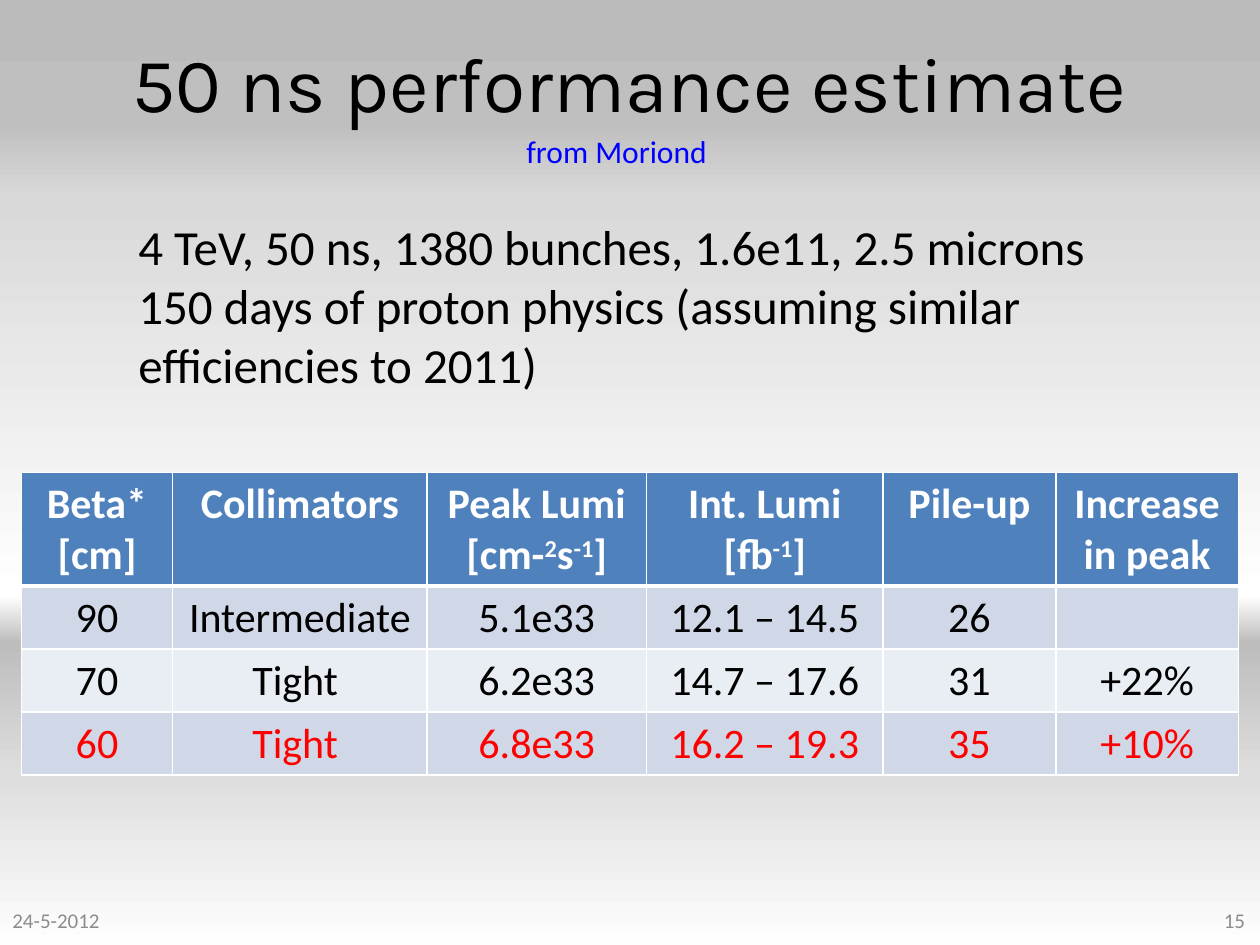
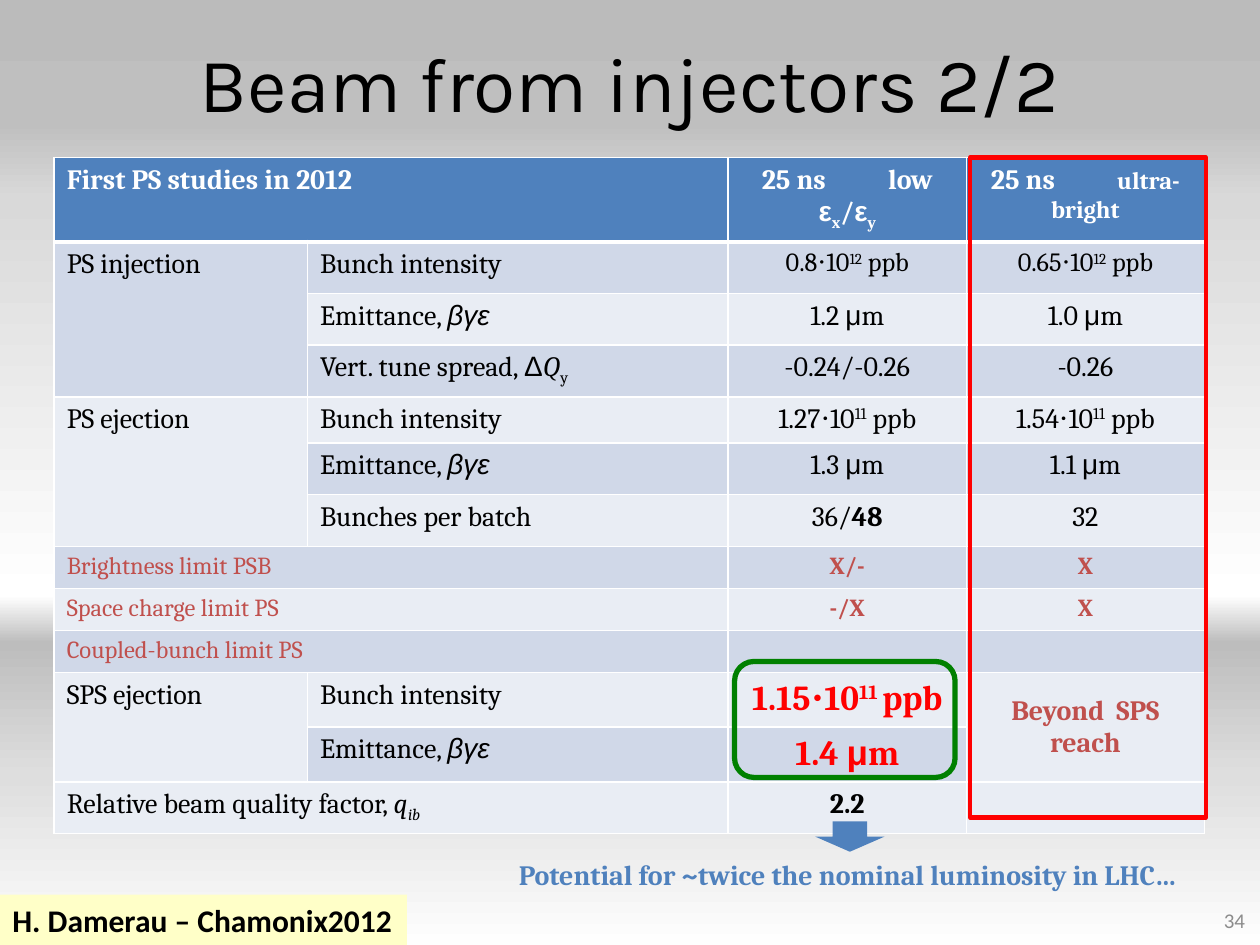
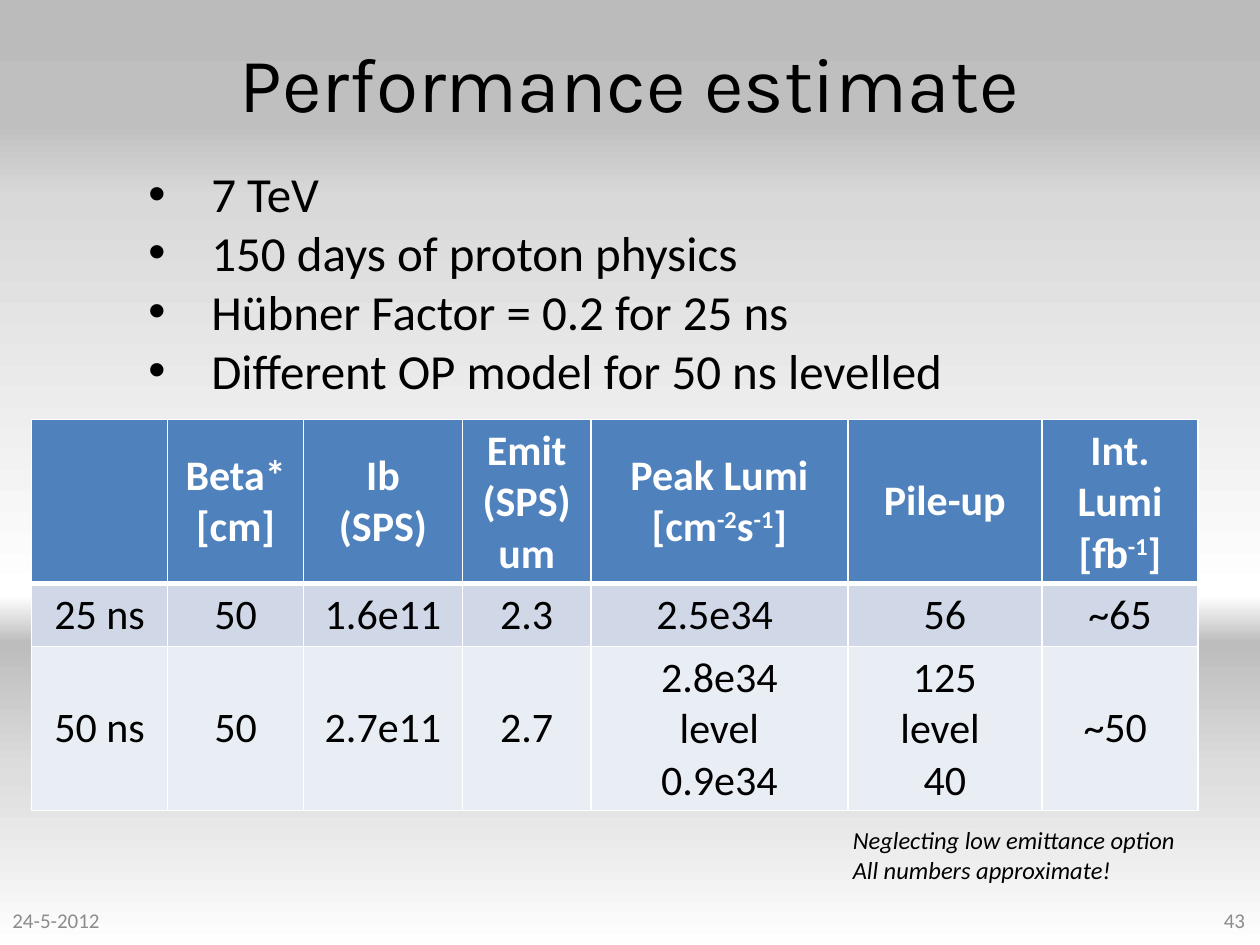
"""Build three slides on collider performance estimates and injector beams."""
from lxml import etree
from pptx import Presentation, util as u
from pptx.dml.color import RGBColor
from pptx.enum import shapes, text
from pptx.oxml import ns

BLACK = RGBColor(0x00, 0x00, 0x00)
WHITE = RGBColor(0xFF, 0xFF, 0xFF)
RED = RGBColor(0xFF, 0x00, 0x00)
GREEN = RGBColor(0x00, 0x80, 0x00)
LINK_BLUE = RGBColor(0x00, 0x00, 0xFF)
HEADER_BLUE = RGBColor(0x4F, 0x81, 0xBD)
BRICK = RGBColor(0xC0, 0x50, 0x4D)
GREY = RGBColor(0x8C, 0x8C, 0x8C)
CREAM = RGBColor(0xFF, 0xFF, 0xC8)
BANDS = RGBColor(0xE9, 0xED, 0xF4), RGBColor(0xD0, 0xD8, 0xE8)
BACKDROP = {0: "BBBBBB", 13: "BFBFBF", 21: "D9D9D9", 63: "FFFFFF",
            68: "BDBDBD", 82: "DEDEDE", 100: "FEFEFE"}
COLUMNS, ROWS = 100, 75
LEFT, CENTER, RIGHT = text.PP_ALIGN.LEFT, text.PP_ALIGN.CENTER, text.PP_ALIGN.RIGHT
TOP, MIDDLE = text.MSO_ANCHOR.TOP, text.MSO_ANCHOR.MIDDLE


def sup(string):
    """Return a superscript run."""
    return string, {"baseline": 30}


def sub(string, **extra):
    """Return a subscript run."""
    return string, {"baseline": -25, **extra}


def arial(string, **extra):
    """Return a run set in Arial."""
    return string, {"font": "Arial", **extra}


def add_xml(parent, tag, **attributes):
    """Append a child element with the given attributes."""
    return etree.SubElement(parent, ns.qn(tag), attributes)


def add_run(paragraph, string, size=18, font="Calibri", color=BLACK,
            bold=False, italic=False, baseline=0, spread=0):
    """Append one formatted run."""
    run = paragraph.add_run()
    run.text = string
    run.font.size, run.font.name = u.Pt(size), font
    run.font.bold, run.font.italic = bold, italic
    run.font.color.rgb = color
    properties = run._r.get_or_add_rPr()
    if baseline:
        properties.set("baseline", str(baseline * 1000))
    if spread:
        properties.set("spc", str(spread * 100))


def write(frame, content, align=LEFT, bullet=False, **style):
    """Fill a frame; newlines start paragraphs and vertical tabs break lines."""
    paragraph = frame.paragraphs[0]
    for piece in [content] if isinstance(content, str) else content:
        string, extra = (piece, {}) if isinstance(piece, str) else piece
        for line_number, line in enumerate(string.split("\n")):
            if line_number:
                paragraph = frame.add_paragraph()
            for part_number, part in enumerate(line.split("\v")):
                if part_number:
                    paragraph.add_line_break()
                if part:
                    add_run(paragraph, part, **{**style, **extra})
    for paragraph in frame.paragraphs:
        paragraph.alignment = align
        if bullet:
            properties = paragraph._p.get_or_add_pPr()
            properties.set("marL", str(u.Inches(0.5)))
            properties.set("indent", str(-u.Inches(0.5)))
            add_xml(properties, "a:buFont", typeface="Arial")
            add_xml(properties, "a:buChar", char="•")
        if not paragraph.runs:
            add_xml(paragraph._p, "a:endParaRPr", sz=str(style["size"] * 100))


class Deck:
    """Hold the shared style and the current slide."""

    def __init__(self):
        """Set up the presentation and its gradient background."""
        self.presentation = Presentation()
        self.presentation.slide_width = u.Inches(10)
        self.presentation.slide_height = u.Inches(7.5)
        self.column = self.presentation.slide_width / COLUMNS
        self.row = self.presentation.slide_height / ROWS
        self.slide = None
        master = self.presentation.slide_master
        fill = master.background.fill
        fill.gradient()
        fill.gradient_angle = 270
        stops = master.element.xpath(".//p:bg//a:gsLst")[0]
        for stop in list(stops):
            stops.remove(stop)
        for position, color in BACKDROP.items():
            stop = add_xml(stops, "a:gs", pos=str(position * 1000))
            add_xml(stop, "a:srgbClr", val=color)

    def box(self, left, top, width, height):
        """Convert grid columns and rows to lengths."""
        return (u.Emu(round(left * self.column)), u.Emu(round(top * self.row)),
                u.Emu(round(width * self.column)), u.Emu(round(height * self.row)))

    def start(self, title, number, date="24-5-2012"):
        """Add a slide with its title, date and number."""
        self.slide = self.presentation.slides.add_slide(self.presentation.slide_layouts[5])
        shape = self.slide.shapes.title
        shape.left, shape.top, shape.width, shape.height = self.box(5, 1.7, 90, 9.5)
        shape.text_frame.vertical_anchor = MIDDLE
        shape.text_frame.auto_size = text.MSO_AUTO_SIZE.NONE
        write(shape.text_frame, title, CENTER, size=44, font="Karla")
        if date:
            self.text((0, 71, 23.3, 4), date, anchor=MIDDLE, size=12, color=GREY)
        self.text((76.5, 71, 23.3, 4), str(number), anchor=MIDDLE, align=RIGHT,
                  size=12, color=GREY)

    def text(self, area, content, anchor=TOP, wrap=True, fill=None, **style):
        """Add a text box."""
        shape = self.slide.shapes.add_textbox(*self.box(*area))
        shape.text_frame.word_wrap = wrap
        shape.text_frame.vertical_anchor = anchor
        if fill:
            shape.fill.solid()
            shape.fill.fore_color.rgb = fill
        write(shape.text_frame, content, **style)

    def shape(self, kind, area, fill=None, line=None, weight=1):
        """Add a preset shape that is filled or outlined."""
        shape = self.slide.shapes.add_shape(kind, *self.box(*area))
        shape.shadow.inherit = False
        for part, color in ((shape.fill, fill), (shape.line.fill, line)):
            if color:
                part.solid()
                part.fore_color.rgb = color
            else:
                part.background()
        if line:
            shape.line.width = u.Pt(weight)

    def table(self, origin, widths, heights, data, spans=(), anchor=TOP, style=None, **base):
        """Add a banded table; style gives the format of a cell by row and column."""
        area = self.box(*origin, sum(widths), sum(heights))
        table = self.slide.shapes.add_table(len(heights), len(widths), *area).table
        for column, width in zip(table.columns, widths):
            column.width = round(width * self.column)
        for row, height in zip(table.rows, heights):
            row.height = round(height * self.row)
        for row, contents in enumerate(data):
            for column, content in enumerate(contents):
                cell = table.cell(row, column)
                look = {"align": CENTER, **base}
                if row == 0:
                    look.update(color=WHITE, bold=True)
                look.update(style(row, column) if style else {})
                cell.vertical_anchor = look.pop("anchor", anchor)
                write(cell.text_frame, content or "", **look)
                self.borders(cell, row)
                cell.fill.solid()
                cell.fill.fore_color.rgb = BANDS[row % 2] if row else HEADER_BLUE
        for row, column, down, across in spans:
            table.cell(row, column).merge(table.cell(row + down - 1, column + across - 1))

    def borders(self, cell, row):
        """Draw white cell borders, thick under the header."""
        properties = cell._tc.get_or_add_tcPr()
        for side in "LRTB":
            thick = (row, side) in ((0, "B"), (1, "T"))
            line = add_xml(properties, f"a:ln{side}", w=str(u.Pt(3 if thick else 1)))
            add_xml(add_xml(line, "a:solidFill"), "a:srgbClr", val=str(WHITE))


def add_50ns_estimate(deck):
    """Add the 50 ns estimate slide."""
    deck.start("50 ns performance estimate", 15)
    deck.text((40.8, 10, 18.3, 4), "from Moriond", color=LINK_BLUE)
    deck.text((10, 16.7, 81.7, 15.1),
              "4 TeV, 50 ns, 1380 bunches, 1.6e11, 2.5 microns\v"
              "150 days of proton physics (assuming similar efficiencies to 2011)", size=28)
    data = [
        ["Beta*\n[cm]", "Collimators",
         ["Peak Lumi\n[cm-", sup("2"), "s", sup("-1"), "]"],
         ["Int. Lumi\n[fb", sup("-1"), "]"], "Pile-up", "Increase in peak"],
        ["90", "Intermediate ", "5.1e33", "12.1 – 14.5", "26", ""],
        ["70", "Tight ", "6.2e33", "14.7 – 17.6", "31", "+22%"],
        ["60", "Tight ", "6.8e33", "16.2 – 19.3", "35", "+10%"],
    ]
    deck.table((1.7, 37.5), (12, 20.2, 17.4, 18.8, 13.7, 14.5), (9, 5, 5, 5), data,
               style=lambda row, column: {"color": RED} if row == 3 else {}, size=24)


def injector_style(row, column):
    """Return the format of a cell in the injector table."""
    look = {} if column > 1 else {"align": LEFT}
    if row == 1 and column > 1:
        look.update(size=15)
    elif row in (7, 8, 9):
        look.update(size=14, color=BRICK, bold=column > 1)
    elif row in (10, 11) and column == 2:
        look.update(size=20, color=RED, bold=True)
    elif row == 10 and column == 3:
        look.update(color=BRICK, bold=True, anchor=MIDDLE)
    elif row == 12 and column == 2:
        look.update(bold=True)
    return look


def add_injectors(deck):
    """Add the injector beam slide."""
    deck.start("Beam from injectors 2/2", 34, date=None)
    gap = (" ", {"spread": 32})
    emittance = ["Emittance, ", arial("βγε", italic=True)]

    def microns(value):
        return [f"{value} ", arial("μ"), "m"]

    def intensity(value, power):
        return [f"{value}⋅10", sup(power), " ppb"]

    data = [
        ["First PS studies in 2012", None,
         ["25 ns", gap, "low ", arial("ε"), sub("x"), "/", arial("ε"), sub("y")],
         ["25 ns", gap, ("ultra-bright", {"size": 14})]],
        ["PS injection", "Bunch intensity", intensity("0.8", "12"), intensity("0.65", "12")],
        [None, emittance, microns("1.2"), microns("1.0")],
        [None, ["Vert. tune spread, ", arial("Δ"), ("Q", {"italic": True}), sub("y")],
         "-0.24/-0.26", "-0.26"],
        ["PS ejection", "Bunch intensity", intensity("1.27", "11"), intensity("1.54", "11")],
        [None, emittance, microns("1.3"), microns("1.1")],
        [None, "Bunches per batch", ["36/", ("48", {"bold": True})], "32"],
        ["Brightness limit PSB", None, "X/-", "X"],
        ["Space charge limit PS", None, "-/X", "X"],
        ["Coupled-bunch limit PS", None, "", ""],
        ["SPS ejection", "Bunch intensity", ["1.15⋅10", sup("11 "), "ppb"],
         "Beyond  SPS reach"],
        [None, emittance, microns("1.4"), None],
        [["Relative beam quality factor, ", ("q", {"italic": True}), sub("ib", italic=True)],
         None, "2.2", ""],
    ]
    wide = [(row, 0, 1, 2) for row in (0, 7, 8, 9, 12)]
    tall = [(1, 0, 3, 1), (4, 0, 3, 1), (10, 0, 2, 1), (10, 3, 2, 1)]
    heights = (6.4, 4.1, 4.1, 4.1, 3.6, 4.1, 4.1, 3.2, 3.2, 3.2, 4.2, 4.3, 4.1)
    deck.table((4.3, 12.5), (20.1, 33.4, 18.9, 18.9), heights, data, wide + tall,
               style=injector_style, size=16, font="Cambria")
    kinds = shapes.MSO_SHAPE
    deck.shape(kinds.RECTANGLE, (77, 12.5, 18.7, 52.4), line=RED, weight=2.5)
    deck.shape(kinds.ROUNDED_RECTANGLE, (58.3, 52.5, 17.5, 9.2), line=GREEN, weight=3)
    deck.shape(kinds.DOWN_ARROW, (64.7, 65.2, 5.5, 2.4), fill=HEADER_BLUE)
    deck.text((38.2, 67.6, 58.2, 4.6), "Potential for ~twice the nominal luminosity in LHC…",
              align=CENTER, size=16, font="Cambria", color=HEADER_BLUE, bold=True)
    deck.text((0, 71, 32.3, 4), "H. Damerau – Chamonix2012", wrap=False, fill=CREAM, bold=True)


def add_7tev_estimate(deck):
    """Add the 7 TeV estimate slide."""
    deck.start("Performance estimate", 43)
    deck.text((10.8, 12.5, 81.7, 19.9),
              "7 TeV\n150 days of proton physics\nHübner Factor = 0.2 for 25 ns\n"
              "Different OP model for 50 ns levelled", bullet=True, size=28)
    data = [
        ["", "Beta*\n[cm]", "Ib\n(SPS)", "Emit\n(SPS)\vum",
         ["Peak Lumi\n[cm", sup("-2"), "s", sup("-1"), "]"], "Pile-up",
         ["Int. Lumi\n[fb", sup("-1"), "]"]],
        ["25 ns", "50", "1.6e11", "2.3", "2.5e34 ", "56", "~65"],
        ["50 ns", "50", "2.7e11", "2.7", "2.8e34\nlevel\n0.9e34", "125\vlevel \n40", "~50 "],
    ]
    deck.table((2.5, 33.3), (10.8, 10.8, 12.6, 10.2, 20.4, 15.4, 12.4), (13, 5, 13), data,
               anchor=MIDDLE, size=24)
    deck.text((66.7, 65, 28.3, 5.7), "Neglecting low emittance option\nAll numbers approximate!",
              size=14, italic=True)


def main():
    """Build and save the presentation."""
    deck = Deck()
    add_50ns_estimate(deck)
    add_injectors(deck)
    add_7tev_estimate(deck)
    deck.presentation.save("out.pptx")


if __name__ == "__main__":
    main()
